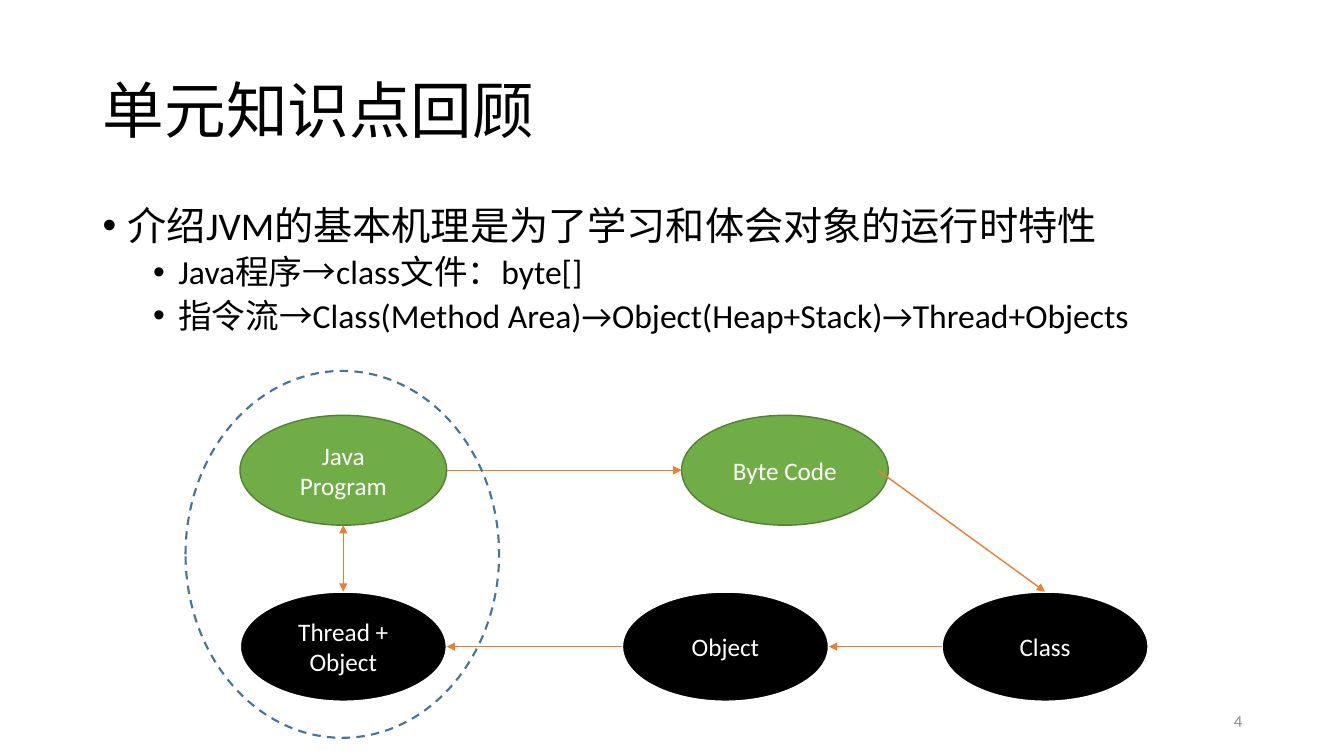
from lxml.etree import SubElement
from pptx import Presentation
from pptx.dml.color import RGBColor
from pptx.enum.dml import MSO_LINE
from pptx.enum.shapes import MSO_CONNECTOR, MSO_SHAPE
from pptx.enum.text import MSO_ANCHOR, MSO_AUTO_SIZE, PP_ALIGN
from pptx.oxml.ns import qn
from pptx.util import Inches, Pt

FONT = "Calibri"
MARGIN, CONTENT_WIDTH = 0.92, 11.5
NODE_WIDTH, NODE_HEIGHT = 2.05, 1.09
COLUMNS = {"start": 2.38, "object": 6.17, "bytecode": 6.76, "class": 9.34}
ROWS = {"compile": 4.12, "run": 5.87}
GREEN, DARK_GREEN, BLACK, WHITE = "70AD47", "538035", "000000", "FFFFFF"
ORANGE, BLUE, GRAY = "ED7D31", "43739E", "8C8C8C"
BULLETS = [
    (0, "介绍JVM的基本机理是为了学习和体会对象的运行时特性"),
    (1, "Java程序→class文件：byte[]"),
    (1, "指令流→Class(Method Area)→Object(Heap+Stack)→Thread+Objects"),
]


def color(hex_code):
    return RGBColor.from_string(hex_code)


def lengths(*values):
    return [Inches(value) for value in values]


def format_text(frame, size, hex_code, align, anchor=MSO_ANCHOR.MIDDLE):
    frame.word_wrap = True
    frame.auto_size = MSO_AUTO_SIZE.NONE
    frame.vertical_anchor = anchor
    for para in frame.paragraphs:
        para.alignment = align
        for span in para.runs:
            span.font.name = FONT
            span.font.size = Pt(size)
            span.font.color.rgb = color(hex_code)


def add_title(page, text):
    title = page.shapes.title
    title.left, title.top, title.width, title.height = lengths(MARGIN, 0.4, CONTENT_WIDTH, 1.45)
    title.text_frame.text = text
    title.text_frame.paragraphs[0].line_spacing = 0.9
    format_text(title.text_frame, 44, BLACK, PP_ALIGN.LEFT)


def add_bullet(para, level):
    properties = para._p.get_or_add_pPr()
    properties.set("marL", str(Inches(0.25 + 0.5 * level)))
    properties.set("indent", str(Inches(-0.25)))
    SubElement(properties, qn("a:buFont"), typeface="Arial")
    SubElement(properties, qn("a:buChar"), char="•")


def add_bullets(page, items):
    box = page.shapes.add_textbox(*lengths(MARGIN, 2, CONTENT_WIDTH, 1.5))
    frame = box.text_frame
    frame.text = "\n".join(text for _, text in items)
    format_text(frame, 24, BLACK, PP_ALIGN.LEFT, MSO_ANCHOR.TOP)
    for para, (level, _) in zip(frame.paragraphs, items):
        add_bullet(para, level)
        para.level = level
        para.line_spacing = 0.9
        para.space_before = Pt(5 if level else 0)
    frame.paragraphs[0].runs[0].font.size = Pt(28)


def add_ellipse(page, left, top, width, height, line, line_width):
    ellipse = page.shapes.add_shape(MSO_SHAPE.OVAL, *lengths(left, top, width, height))
    ellipse.shadow.inherit = False
    ellipse.line.color.rgb = color(line)
    ellipse.line.width = Pt(line_width)
    return ellipse


def add_node(page, column, row, text, fill, line, line_width):
    node = add_ellipse(page, COLUMNS[column], ROWS[row], NODE_WIDTH, NODE_HEIGHT, line, line_width)
    node.fill.solid()
    node.fill.fore_color.rgb = color(fill)
    node.text_frame.text = text
    format_text(node.text_frame, 18, WHITE, PP_ALIGN.CENTER)
    return node


def side(node, across, down):
    return int(node.left + node.width * across), int(node.top + node.height * down)


def add_arrow(page, start, end, ends=("tailEnd",)):
    arrow = page.shapes.add_connector(MSO_CONNECTOR.STRAIGHT, *start, *end)
    arrow.line.color.rgb = color(ORANGE)
    arrow.line.width = Pt(1)
    outline = arrow.line._get_or_add_ln()
    for name in ends:
        SubElement(outline, qn(f"a:{name}"), type="triangle")
    SubElement(arrow._element.spPr, qn("a:effectLst"))
    return arrow


def add_flow(page):
    green = (GREEN, DARK_GREEN, 1)
    black = (BLACK, WHITE, 1.5)
    program = add_node(page, "start", "compile", "Java Program", *green)
    bytecode = add_node(page, "bytecode", "compile", "Byte Code", *green)
    class_node = add_node(page, "class", "run", "Class", *black)
    object_node = add_node(page, "object", "run", "Object", *black)
    thread = add_node(page, "start", "run", "Thread +\nObject", *black)

    add_arrow(page, side(program, 1, 0.5), side(bytecode, 0, 0.5))
    load = add_arrow(page, side(bytecode, 0.95, 0.5), side(class_node, 0.5, 0))
    load.end_connect(class_node, 0)
    add_arrow(page, side(class_node, 0, 0.5), side(object_node, 1, 0.5))
    add_arrow(page, side(object_node, 0, 0.5), side(thread, 1, 0.5))
    relation = add_arrow(page, side(thread, 0.5, 0), side(program, 0.5, 1), ("headEnd", "tailEnd"))
    relation.begin_connect(thread, 0)

    group_outline = add_ellipse(page, 1.84, 3.68, 3.11, 3.64, BLUE, 1.5)
    group_outline.fill.background()
    group_outline.line.dash_style = MSO_LINE.DASH


def add_page_number(page, number):
    box = page.shapes.add_textbox(*lengths(MARGIN + CONTENT_WIDTH - 3, 6.95, 3, 0.4))
    box.text_frame.text = str(number)
    format_text(box.text_frame, 12, GRAY, PP_ALIGN.RIGHT)


def main():
    deck = Presentation()
    deck.slide_width, deck.slide_height = lengths(13.33, 7.5)
    page = deck.slides.add_slide(deck.slide_layouts[5])
    add_title(page, "单元知识点回顾")
    add_bullets(page, BULLETS)
    add_flow(page)
    add_page_number(page, 4)
    deck.save("out.pptx")


if __name__ == "__main__":
    main()
